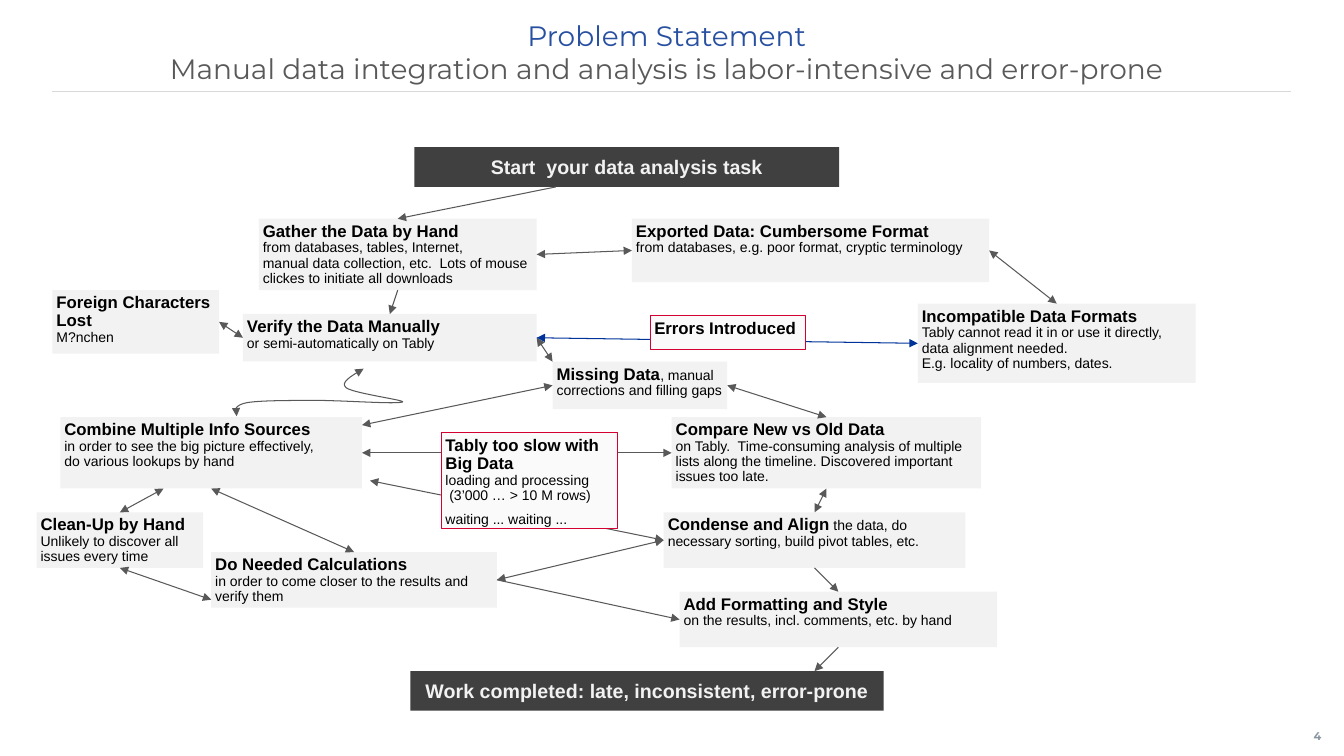
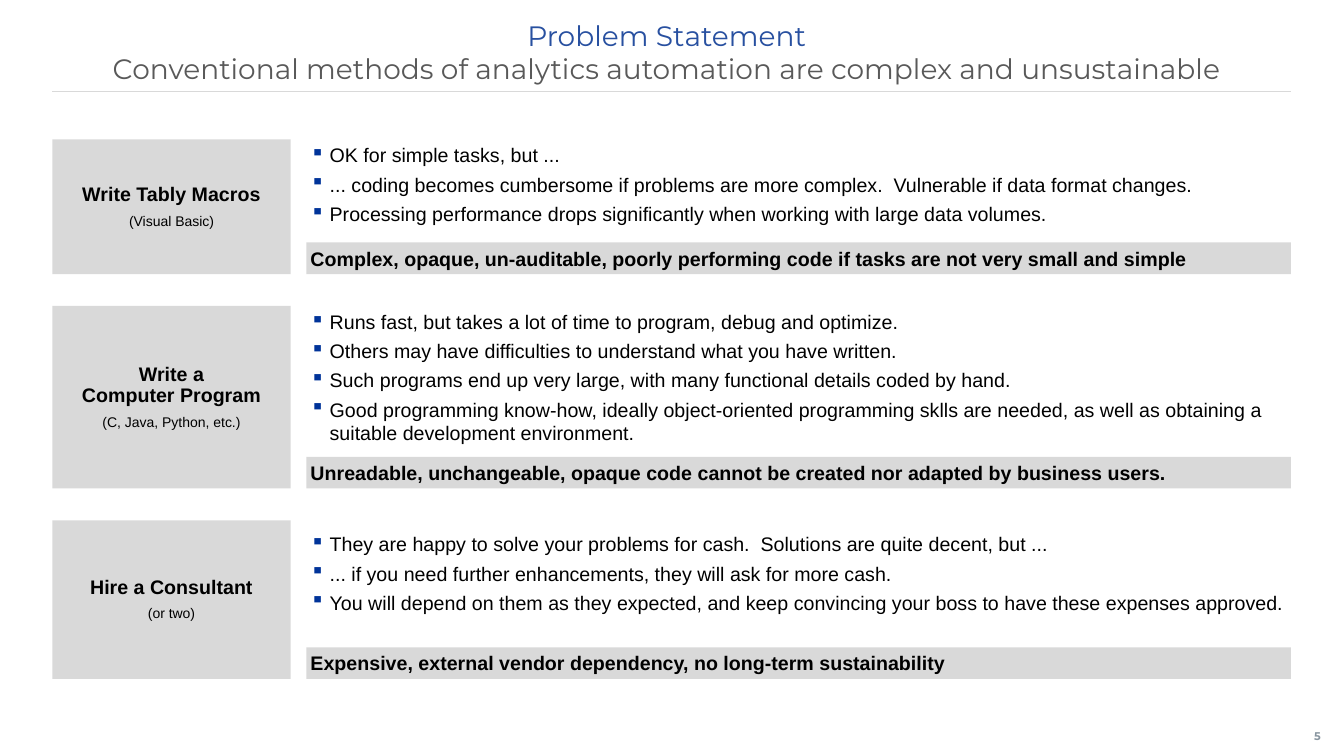
"""Build two problem-statement slides: a process flow and a comparison of methods."""
from copy import deepcopy

from lxml import etree
from pptx import Presentation
from pptx import util as u
from pptx.dml.color import RGBColor
from pptx.enum import shapes, text
from pptx.oxml.ns import qn

BLACK = RGBColor(0, 0, 0)
CHARCOAL = RGBColor(0x40, 0x40, 0x40)
GREY = RGBColor(0x59, 0x59, 0x59)
PAGE_GREY = RGBColor(0x89, 0x96, 0xA0)
SILVER = RGBColor(0xD9, 0xD9, 0xD9)
PALE = RGBColor(0xF2, 0xF2, 0xF2)
NEAR_WHITE = RGBColor(0xFA, 0xFA, 0xFA)
RED = RGBColor(0xD5, 0x00, 0x32)
BLUE = RGBColor(0x00, 0x33, 0x99)
TITLE_BLUE = RGBColor(0x28, 0x50, 0xA0)

CELL = u.Mm(2)
LEFT, TOP = u.Inches(0.52), u.Inches(0.91)
TOP_SIDE, LEFT_SIDE, BOTTOM_SIDE, RIGHT_SIDE = range(4)
CENTER = text.PP_ALIGN.CENTER
MIDDLE = text.MSO_ANCHOR.MIDDLE


def column(number):
    return round(LEFT + number * CELL)


def row(number):
    return round(TOP + number * CELL)


def is_point(end):
    return isinstance(end[0], (int, float))


def apply(target, values):
    for name, value in values.items():
        setattr(target, name, value)


def style(size, color=BLACK, bold=False, name="Arial"):
    return {"size": u.Pt(size), "bold": bold, "name": name, "color": color}


HEADING, DETAIL = style(12, bold=True), style(10)
STRONG, BODY = style(14, bold=True), style(14)
BANNER = style(14, PALE, True)
TITLE, SUBTITLE = (style(20, shade, name="Montserrat") for shade in (TITLE_BLUE, GREY))
PAGE = style(8, PAGE_GREY, True, "Montserrat")
COMPACT = {"line_spacing": 0.9, "space_before": u.Pt(3), "space_after": u.Pt(3)}
LISTED = {"space_before": u.Pt(2), "space_after": u.Pt(2)}


class Deck:
    """Holds the presentation, the shared style and the current slide."""

    def __init__(self):
        self.presentation = Presentation()
        apply(self.presentation, {"slide_width": u.Inches(13.33), "slide_height": u.Inches(7.5)})
        self.slide = None

    def new_slide(self, subtitle, page):
        self.slide = self.presentation.slides.add_slide(self.presentation.slide_layouts[6])
        self.line((0, 0), (156, 0), SILVER, width=1, heads=())
        self.text_box((0, -9.9, 156, 10), [[("Problem Statement\n", TITLE), (subtitle, SUBTITLE)]],
                      {"alignment": CENTER}, margins=(0, 0.05, 0.1, 0.05))
        self.text_box((157, 78.7, 5.7, 5), [[(str(page), PAGE)]], {"alignment": CENTER},
                      margins=(0, 0.05, 0.08, 0.05), vertical_anchor=MIDDLE, word_wrap=False)

    def place(self, area):
        left, top, width, height = area
        return column(left), row(top), round(width * CELL), round(height * CELL)

    def set_text(self, shape, paragraphs, layout, bullet=False, margins=(0.04,) * 4,
                 **frame_values):
        frame = shape.text_frame
        sides = ("margin_left", "margin_top", "margin_right", "margin_bottom")
        apply(frame, dict(zip(sides, map(u.Inches, margins))))
        apply(frame, {"word_wrap": True, "vertical_anchor": text.MSO_ANCHOR.TOP} | frame_values)
        for index, runs in enumerate(paragraphs):
            paragraph = frame.add_paragraph() if index else frame.paragraphs[0]
            apply(paragraph, {"alignment": text.PP_ALIGN.LEFT} | layout)
            if not index:
                paragraph.space_before = u.Pt(0)
            if bullet:
                self.bullet(paragraph)
            for words, font in runs:
                self.add_runs(paragraph, words, font)

    def add_runs(self, paragraph, words, font):
        for index, words_on_line in enumerate(words.split("\n")):
            run = paragraph.add_run()
            run.text = words_on_line
            apply(run.font, {name: value for name, value in font.items() if name != "color"})
            run.font.color.rgb = font["color"]
            if index:
                line_break = etree.Element(qn("a:br"))
                line_break.append(deepcopy(run.font._element))
                run._r.addprevious(line_break)
            if not words_on_line:
                paragraph._p.remove(run._r)

    def bullet(self, paragraph):
        properties = paragraph._p.get_or_add_pPr()
        indent = u.Inches(0.19)
        properties.set("marL", str(indent))
        properties.set("indent", str(-indent))
        color = etree.SubElement(properties, qn("a:buClr"))
        etree.SubElement(color, qn("a:srgbClr")).set("val", str(BLUE))
        etree.SubElement(properties, qn("a:buChar")).set("char", "▪")

    def text_box(self, area, paragraphs, layout, **options):
        self.set_text(self.slide.shapes.add_textbox(*self.place(area)), paragraphs, layout,
                      **options)

    def box(self, area, paragraphs, fill=PALE, outline=None, layout=COMPACT, **options):
        shape = self.slide.shapes.add_shape(shapes.MSO_SHAPE.RECTANGLE, *self.place(area))
        shape.shadow.inherit = False
        shape.fill.solid()
        shape.fill.fore_color.rgb = fill
        if outline:
            self.outline(shape, outline)
        else:
            shape.line.fill.background()
        self.set_text(shape, paragraphs, layout, **options)
        return shape

    def outline(self, shape, color, width=0.75, heads=()):
        shape.line.color.rgb = color
        shape.line.width = u.Pt(width)
        for head in heads:
            etree.SubElement(shape.line._get_or_add_ln(), qn(f"a:{head}")).set("type", "triangle")

    def line(self, start, end, color=GREY, width=0.75, heads=("headEnd", "tailEnd")):
        """Join two ends, each a (column, row) point or a (shape, side) pair."""
        points = [(column(target[0]), row(target[1])) if is_point(target) else (0, 0)
                  for target in (start, end)]
        connector = self.slide.shapes.add_connector(
            shapes.MSO_CONNECTOR.STRAIGHT, *points[0], *points[1])
        for connect, target in ((connector.begin_connect, start), (connector.end_connect, end)):
            if not is_point(target):
                connect(*target)
        self.outline(connector, color, width, heads)
        etree.SubElement(connector._element.spPr, qn("a:effectLst"))

    def curve(self, start, segments, steps=12):
        points = [start]
        for first, second, end in segments:
            begin = points[-1]
            for step in range(1, steps + 1):
                t = step / steps
                weights = (1 - t) ** 3, 3 * t * (1 - t) ** 2, 3 * t ** 2 * (1 - t), t ** 3
                points.append(tuple(sum(weight * point[axis] for weight, point in
                                        zip(weights, (begin, first, second, end)))
                                    for axis in (0, 1)))
        places = [(column(x), row(y)) for x, y in points]
        builder = self.slide.shapes.build_freeform(*places[0])
        builder.add_line_segments(places[1:], close=False)
        shape = builder.convert_to_shape()
        shape.shadow.inherit = False
        shape.fill.background()
        self.outline(shape, GREY, heads=("headEnd", "tailEnd"))


STEPS = {
    "gather": ((26, 16, 35, 9), "Gather the Data by Hand\n",
               "from databases, tables, Internet, \nmanual data collection, etc.  "
               "Lots of mouse clickes to initiate all downloads"),
    "verify": ((24, 28, 37, 6), "Verify the Data Manually\n", "or semi-automatically on Tably"),
    "condense": ((77, 53, 38, 7), "Condense and Align",
                 " the data, do necessary sorting, build pivot tables, etc."),
    "exported": ((73, 16, 45, 8), "Exported Data: Cumbersome Format\n",
                 "from databases, e.g. poor format, cryptic terminology"),
    "style": ((79, 63, 40, 7), "Add Formatting and Style\n",
              "on the results, incl. comments, etc. by hand"),
    "compare": ((78, 41, 39, 9), "Compare New vs Old Data\n",
                "on Tably.  Time-consuming analysis of multiple lists along the timeline. "
                "Discovered important issues too late."),
    "foreign": ((0, 25, 21, 8), "Foreign Characters\nLost\n", "M?nchen"),
    "incompatible": ((109, 26.7, 35, 10), "Incompatible Data Formats\n",
                     "Tably cannot read it in or use it directly, data alignment needed. \n"
                     "E.g. locality of numbers, dates."),
    "combine": ((1, 41, 38, 9), "Combine Multiple Info Sources\n",
                "in order to see the big picture effectively, \ndo various lookups by hand"),
    "missing": ((63, 34, 22, 6), "Missing Data", ", manual corrections and filling gaps"),
    "calculate": ((20, 58, 36, 7), "Do Needed Calculations\n",
                  "in order to come closer to the results and verify them"),
    "clean": ((-2, 53, 21, 7), "Clean-Up by Hand\n",
              "Unlikely to discover all\nissues every time"),
}

METHODS = [
    (17, 0, 14, "Write Tably Macros", "(Visual Basic)",
     ["OK for simple tasks, but ...",
      "... coding becomes cumbersome if problems are more complex.  "
      "Vulnerable if data format changes.",
      "Processing performance drops significantly when working with large data volumes."],
     "Complex, opaque, un-auditable, poorly performing code if tasks are not very small and simple"),
    (23, 0, 18, "Write a\nComputer Program", "(C, Java, Python, etc.)",
     ["Runs fast, but takes a lot of time to program, debug and optimize.",
      "Others may have difficulties to understand what you have written.",
      "Such programs end up very large, with many functional details coded by hand.",
      "Good programming know-how, ideally object-oriented programming sklls are needed, "
      "as well as obtaining a suitable development environment."],
     "Unreadable, unchangeable, opaque code cannot be created nor adapted by business users."),
    (20, 1, 14, "Hire a Consultant", "(or two)",
     ["They are happy to solve your problems for cash.  Solutions are quite decent, but ...",
      "... if you need further enhancements, they will ask for more cash.",
      "You will depend on them as they expected, and keep convincing your boss "
      "to have these expenses approved."],
     "Expensive, external vendor dependency, no long-term sustainability"),
]


def build_flow(deck):
    deck.new_slide("Manual data integration and analysis is labor-intensive and error-prone", 4)
    for area, words in (((45.6, 7, 53.5, 5), "Start  your data analysis task"),
                        ((45.1, 73, 59.6, 5), "Work completed: late, inconsistent, error-prone")):
        deck.box(area, [[(words, BANNER)]], CHARCOAL, layout={"alignment": CENTER},
                 vertical_anchor=MIDDLE, word_wrap=False)
    steps = {name: deck.box(area, [[(heading, HEADING), (detail, DETAIL)]])
             for name, (area, heading, detail) in STEPS.items()}
    top, left, bottom, right = (
        {name: (shape, side) for name, shape in steps.items()}
        for side in (TOP_SIDE, LEFT_SIDE, BOTTOM_SIDE, RIGHT_SIDE))

    for start, end in (((63.4, 12), top["gather"]), (bottom["gather"], top["verify"]),
                       (right["calculate"], left["style"]), (bottom["condense"], top["style"]),
                       (bottom["style"], (96, 73))):
        deck.line(start, end, heads=("tailEnd",))
    for start, end in ((right["gather"], left["exported"]),
                       (right["exported"], top["incompatible"]),
                       (right["combine"], left["compare"]), (right["verify"], (63, 34)),
                       (left["verify"], right["foreign"]),
                       (right["calculate"], left["condense"]),
                       (bottom["compare"], top["condense"]),
                       (bottom["combine"], top["calculate"]), ((40, 49), left["condense"]),
                       ((39, 42), left["missing"]), (right["missing"], top["compare"]),
                       ((14, 50), top["clean"]), ((20, 64), bottom["clean"])):
        deck.line(start, end)
    deck.line(right["verify"], left["incompatible"], BLUE)
    deck.curve((39.2, 34.9), [((37.7, 35.8), (36.2, 36.6), (37, 37.3)),
                              ((37.8, 38), (44.7, 38.9), (44.1, 39.1)),
                              ((43.4, 39.4), (36.6, 38.9), (33.3, 38.9)),
                              ((30, 38.9), (26, 38.9), (24.4, 39.2)),
                              ((22.7, 39.6), (23, 40.3), (23.2, 40.9))])

    for area, paragraphs in (
            ((49, 43, 22.2, 12),
             [[("Tably too slow with Big Data\n", HEADING),
               ("loading and processing\n (3’000 … > 10 M rows)", DETAIL)],
              [("waiting ... waiting ...", DETAIL)]]),
            ((75.3, 28.2, 19.6, 4.3), [[("Errors Introduced", HEADING)]])):
        deck.box(area, paragraphs, NEAR_WHITE, RED)


def build_methods(deck):
    deck.new_slide("Conventional methods of analytics automation are complex and unsustainable", 5)
    top, gap, verdict_height = 6, 4, 4
    for height, offset, list_height, method, examples, points, verdict in METHODS:
        deck.box((0, top, 30, height), [[(method, STRONG)], [(examples, DETAIL)]], SILVER,
                 layout=COMPACT | {"alignment": CENTER}, vertical_anchor=MIDDLE)
        deck.text_box((32, top + offset, 124, list_height),
                      [[(point, BODY)] for point in points], LISTED, bullet=True)
        deck.box((32, top + height - verdict_height, 124, verdict_height),
                 [[(verdict, STRONG)]], SILVER, layout={})
        top += height + gap


def main():
    deck = Deck()
    build_flow(deck)
    build_methods(deck)
    deck.presentation.save("out.pptx")


if __name__ == "__main__":
    main()
